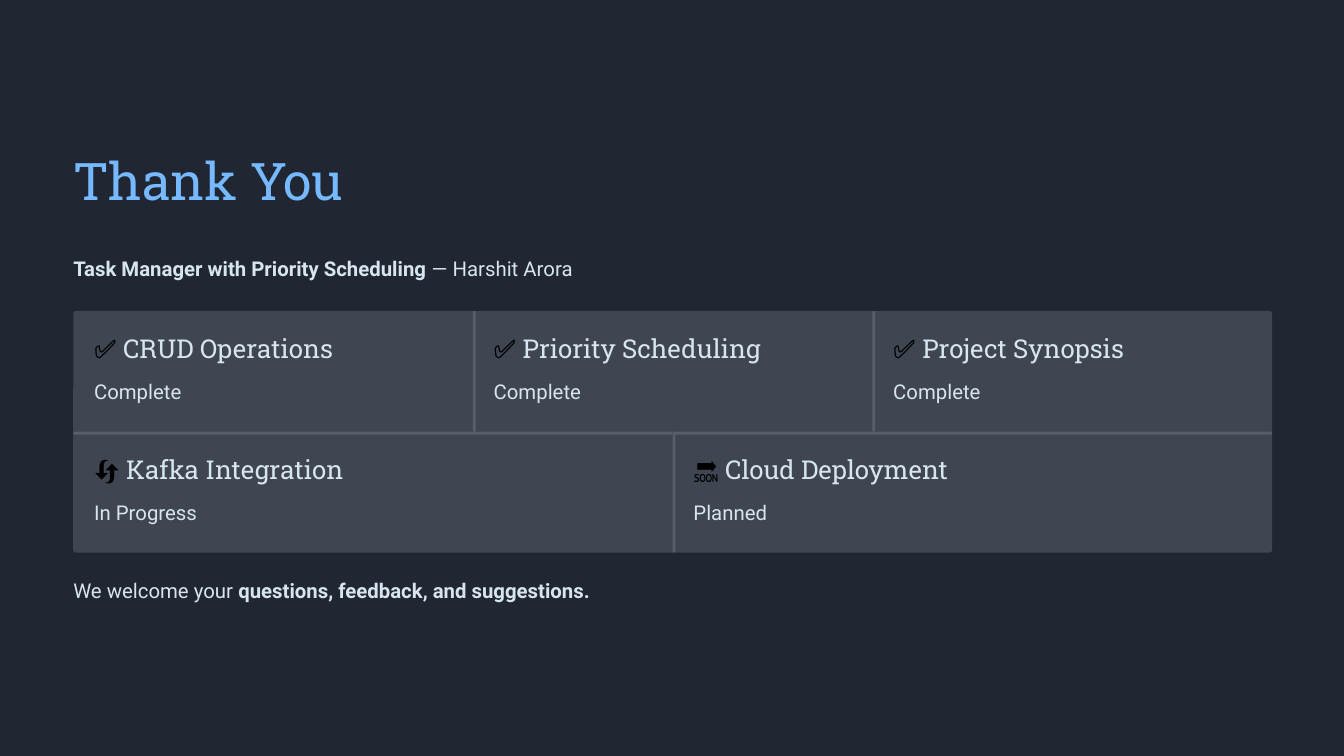
from pptx import Presentation
from pptx.dml.color import RGBColor
from pptx.enum import shapes, text
from pptx.util import Pt

COLOURS = {
    "background": "202733",
    "panel": "3F4652",
    "divider": "585F6B",
    "title": "76B9FF",
    "body": "D6E5EF",
    "icon": "000000",
}
HEADING_FONT, BODY_FONT = "Roboto Slab", "Roboto"

# Layout in points
LEFT, TOP, WIDTH = 78.5, 333.2, 1284.4
ROW_HEIGHT = 129.4
DIVIDER = 3
INSET = 22.3

ROWS = [
    [("✅", "CRUD Operations", "Complete"),
     ("✅", "Priority Scheduling", "Complete"),
     ("✅", "Project Synopsis", "Complete")],
    [("🔄", "Kafka Integration", "In Progress"),
     ("🔜", "Cloud Deployment", "Planned")],
]


def colour(name):
    return RGBColor.from_string(COLOURS[name])


class SlideBuilder:
    """Holds the style and the current slide."""

    def __init__(self, deck):
        self.page = deck.slides.add_slide(deck.slide_layouts[5])
        fill = self.page.background.fill
        fill.solid()
        fill.fore_color.rgb = colour("background")

    def set_text(self, box, spans, size, font, spacing):
        """Fill a box with one paragraph of (text, colour, bold) spans."""
        frame = box.text_frame
        frame.word_wrap = True
        frame.auto_size = text.MSO_AUTO_SIZE.NONE
        frame.vertical_anchor = text.MSO_ANCHOR.TOP
        frame.margin_left = frame.margin_right = 0
        frame.margin_top = frame.margin_bottom = 0
        para = frame.paragraphs[0]
        para.alignment = text.PP_ALIGN.LEFT
        para.line_spacing = Pt(spacing)
        para.font.name, para.font.size = font, Pt(size)
        for words, tone, bold in spans:
            span = para.add_run()
            span.text = words
            span.font.color.rgb = colour(tone)
            span.font.bold = bold

    def title(self, words, left, top, width, height):
        box = self.page.shapes.title
        box.left, box.top = Pt(left), Pt(top)
        box.width, box.height = Pt(width), Pt(height)
        self.set_text(box, [(words, "title", False)], 55.5, HEADING_FONT, 69.3)

    def heading(self, icon, words, left, top, width):
        box = self.page.shapes.add_textbox(Pt(left), Pt(top), Pt(width), Pt(36.7))
        spans = [(icon, "icon", False), (" " + words, "body", False)]
        self.set_text(box, spans, 27.8, HEADING_FONT, 34.6)

    def body(self, spans, left, top, width):
        box = self.page.shapes.add_textbox(Pt(left), Pt(top), Pt(width), Pt(42.5))
        spans = [(words, "body", bold) for words, bold in spans]
        self.set_text(box, spans, 21.8, BODY_FONT, 34.7)

    def bar(self, left, top, width, height, tone, radius):
        bar = self.page.shapes.add_shape(
            shapes.MSO_SHAPE.ROUNDED_RECTANGLE,
            Pt(left), Pt(top), Pt(width), Pt(height))
        bar.adjustments[0] = radius / min(width, height)
        bar.shadow.inherit = False
        bar.fill.solid()
        bar.fill.fore_color.rgb = colour(tone)
        bar.line.fill.background()

    def card(self, card, left, top, width):
        icon, name, status = card
        inner = width - 2 * INSET
        self.heading(icon, name, left + INSET, top + 21.6, inner)
        self.body([(status, False)], left + INSET, top + 64.3, inner)


def main():
    deck = Presentation()
    deck.slide_width, deck.slide_height = Pt(1440), Pt(810)
    builder = SlideBuilder(deck)

    # Title and project line
    builder.title("Thank You", LEFT, 156.2, WIDTH, 71.3)
    builder.body([("Task Manager with Priority Scheduling", True),
                  (" — Harshit Arora", False)], LEFT, 265.7, WIDTH)

    # Status panel: each row shares the full width equally
    builder.bar(LEFT, TOP, WIDTH, ROW_HEIGHT * len(ROWS), "panel", 3)
    for row, cards in enumerate(ROWS):
        top = TOP + row * ROW_HEIGHT
        width = WIDTH / len(cards)
        for column, card in enumerate(cards):
            left = LEFT + column * width
            if column:
                builder.bar(left, top, DIVIDER, ROW_HEIGHT, "divider", 1.5)
            if row:
                builder.bar(left, top, width, DIVIDER, "divider", 1.5)
            builder.card(card, left, top, width)

    # Closing line
    builder.body([("We welcome your ", False),
                  ("questions, feedback, and suggestions.", True)],
                 LEFT, 610.6, WIDTH)

    deck.save("out.pptx")


if __name__ == "__main__":
    main()
